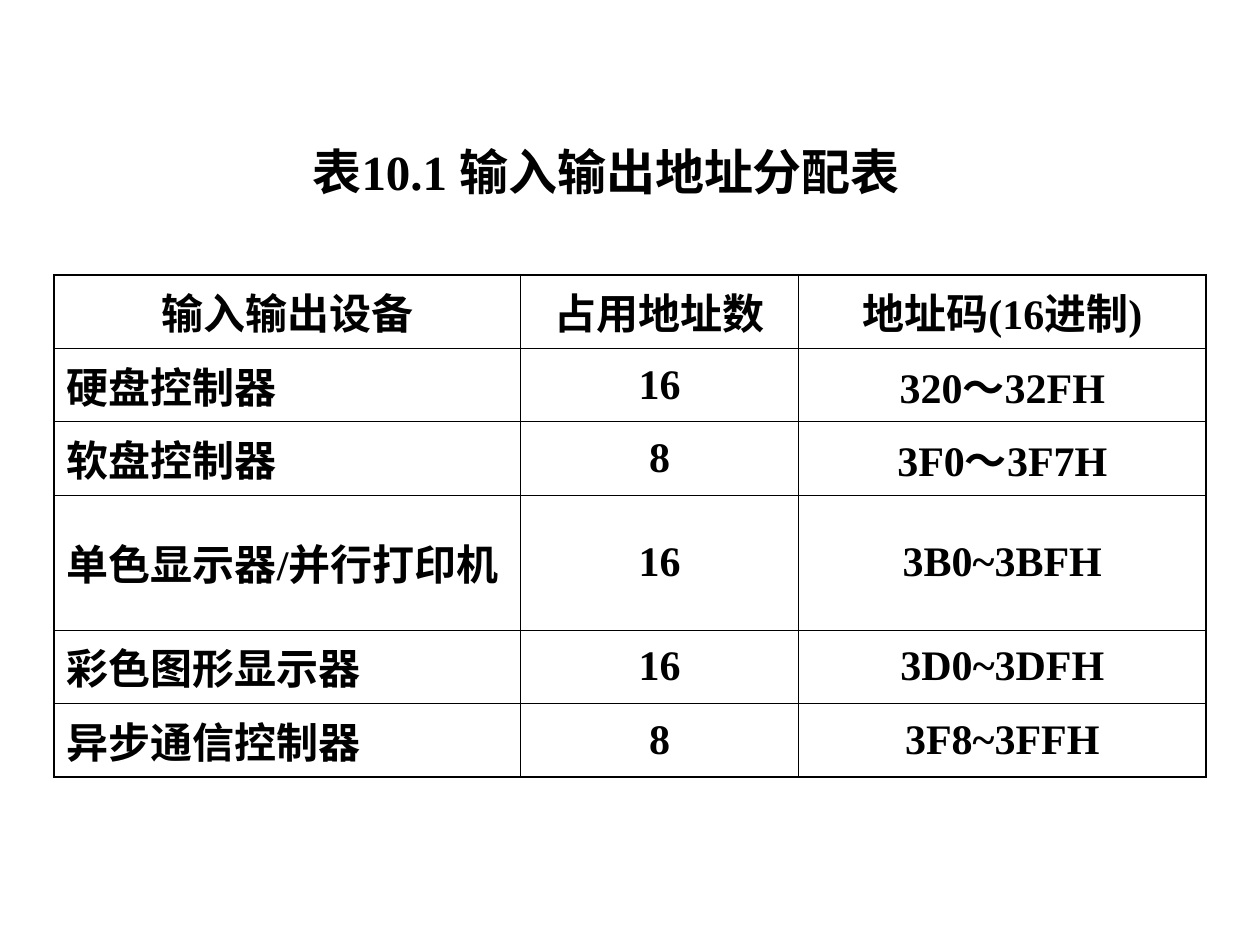
"""Build a slide with the table of input and output address assignments."""

from dataclasses import dataclass

from lxml.etree import SubElement
from pptx import Presentation
from pptx.dml.color import RGBColor
from pptx.enum.text import MSO_ANCHOR, PP_ALIGN
from pptx.oxml.ns import qn
from pptx.util import Inches, Pt

BLACK = RGBColor(0, 0, 0)
FONT_FORMAT = {"name": "Times New Roman", "bold": True}
TITLE_SIZE = Pt(28)
TABLE_SIZE = Pt(24)
INNER_LINE = Pt(0.45)
OUTER_LINE = Pt(1.08)
COLUMN_WIDTHS = (3.7, 2.21, 3.23)
ROW_HEIGHT = 0.54
TALL_ROW_HEIGHT = 0.84


@dataclass(frozen=True)
class DeviceRow:
    device: str
    address_count: str
    address_range: str
    height: float = ROW_HEIGHT


ROWS = (
    DeviceRow("输入输出设备", "占用地址数", "地址码(16进制)"),
    DeviceRow("硬盘控制器", "16", "320～32FH"),
    DeviceRow("软盘控制器", "8", "3F0～3F7H"),
    DeviceRow("单色显示器/并行打印机", "16", "3B0~3BFH", TALL_ROW_HEIGHT),
    DeviceRow("彩色图形显示器", "16", "3D0~3DFH"),
    DeviceRow("异步通信控制器", "8", "3F8~3FFH"),
)


def write_text(text_frame, text: str, size: Pt, alignment: PP_ALIGN) -> None:
    paragraph = text_frame.paragraphs[0]
    paragraph.alignment = alignment
    run = paragraph.add_run()
    run.text = text
    for attribute, value in {**FONT_FORMAT, "size": size}.items():
        setattr(run.font, attribute, value)
    run.font.color.rgb = BLACK


def add_border(cell, side: str, width: Pt) -> None:
    properties = cell._tc.get_or_add_tcPr()
    line = SubElement(properties, qn(f"a:ln{side}"), w=str(int(width)))
    fill = SubElement(line, qn("a:solidFill"))
    SubElement(fill, qn("a:srgbClr"), val=str(BLACK))


def format_cell(cell, row_index: int, column_index: int) -> None:
    is_outer = {
        "L": column_index == 0,
        "R": column_index == len(COLUMN_WIDTHS) - 1,
        "T": row_index == 0,
        "B": row_index == len(ROWS) - 1,
    }
    for side, outer in is_outer.items():
        add_border(cell, side, OUTER_LINE if outer else INNER_LINE)
    cell.fill.background()
    cell.vertical_anchor = MSO_ANCHOR.MIDDLE


def add_title(slide) -> None:
    unused_title = slide.shapes.title.element
    unused_title.getparent().remove(unused_title)
    title = slide.placeholders[1]
    position = {"left": 0.27, "top": 1.07, "width": 9.17, "height": 0.72}
    for attribute, value in position.items():
        setattr(title, attribute, Inches(value))
    title.text_frame.vertical_anchor = MSO_ANCHOR.TOP
    write_text(title.text_frame, "表10.1 输入输出地址分配表 ", TITLE_SIZE, PP_ALIGN.CENTER)
    title.text_frame.paragraphs[0].space_before = Pt(0)


def add_address_table(slide) -> None:
    table = slide.shapes.add_table(
        len(ROWS),
        len(COLUMN_WIDTHS),
        Inches(0.43),
        Inches(2.18),
        Inches(sum(COLUMN_WIDTHS)),
        Inches(sum(row.height for row in ROWS)),
    ).table
    table.first_row = False
    table.horz_banding = False
    for column, width in zip(table.columns, COLUMN_WIDTHS):
        column.width = Inches(width)
    for row_index, row in enumerate(ROWS):
        table.rows[row_index].height = Inches(row.height)
        texts = (row.device, row.address_count, row.address_range)
        for column_index, text in enumerate(texts):
            cell = table.cell(row_index, column_index)
            is_device_name = row_index > 0 and column_index == 0
            alignment = PP_ALIGN.LEFT if is_device_name else PP_ALIGN.CENTER
            write_text(cell.text_frame, text, TABLE_SIZE, alignment)
            format_cell(cell, row_index, column_index)


def main() -> None:
    presentation = Presentation()
    presentation.slide_width = Inches(10)
    presentation.slide_height = Inches(7.5)
    slide = presentation.slides.add_slide(presentation.slide_layouts[0])
    add_title(slide)
    add_address_table(slide)
    presentation.save("out.pptx")


if __name__ == "__main__":
    main()
